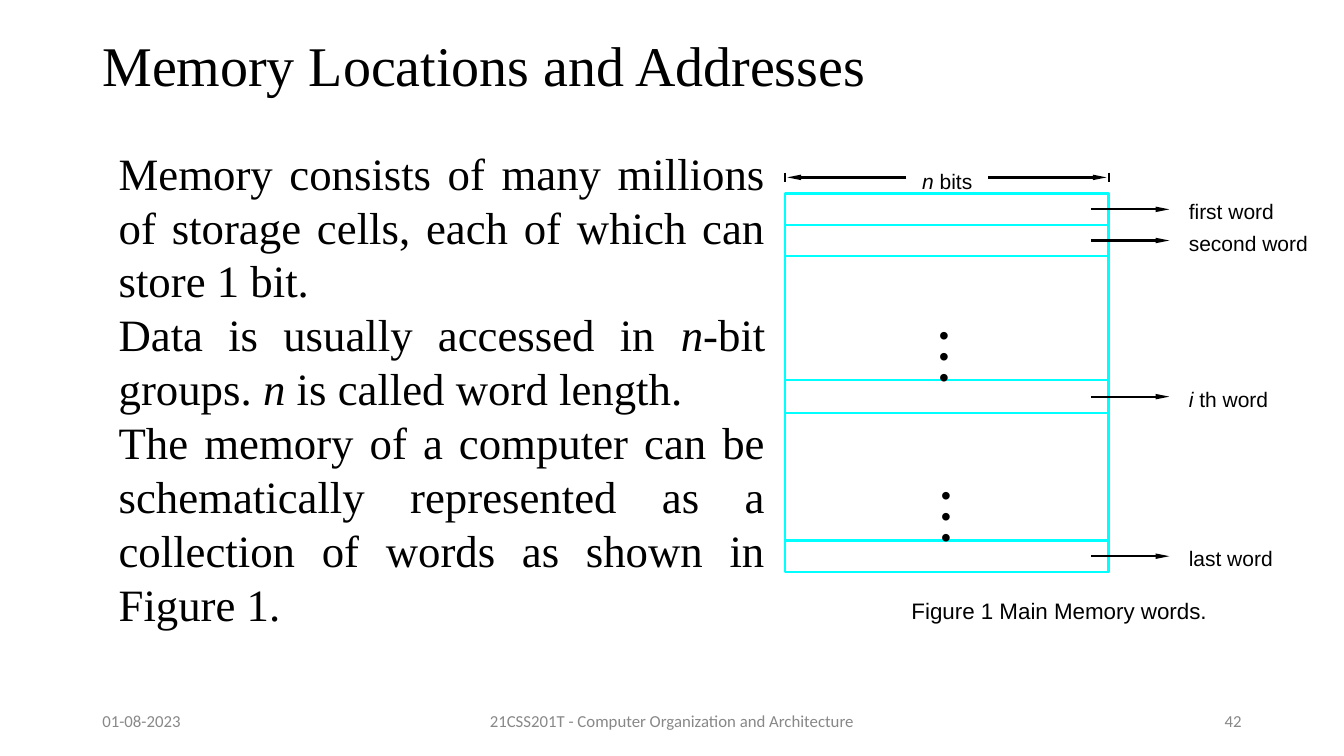
from lxml import etree
from pptx import Presentation
from pptx.dml.color import RGBColor
from pptx.enum.shapes import MSO_CONNECTOR, MSO_SHAPE
from pptx.enum.text import MSO_ANCHOR, PP_ALIGN
from pptx.oxml.ns import qn
from pptx.util import Cm, Pt

STRAIGHT = MSO_CONNECTOR.STRAIGHT
RECTANGLE = MSO_SHAPE.RECTANGLE
TOP, MIDDLE = MSO_ANCHOR.TOP, MSO_ANCHOR.MIDDLE
LEFT, CENTER, RIGHT, JUSTIFY = PP_ALIGN.LEFT, PP_ALIGN.CENTER, PP_ALIGN.RIGHT, PP_ALIGN.JUSTIFY

COLORS = {"text": "000000", "cell": "00FFFF", "footer": "888888"}
LINE_WIDTH = 1.62
PADDING = (0.25, 0.13, 0.25, 0.13)
NO_PADDING = (0, 0, 0, 0)

BODY = [
    "Memory consists of many millions of storage cells, each of which can store 1 bit.",
    "Data is usually accessed in *n*-bit groups. *n* is called word length.",
    "The memory of a computer can be schematically represented as a collection of words "
    "as shown in Figure 1.",
]
WORDS = [
    (0, 0.79, "first word"),
    (0.79, 1.57, "second word"),
    (4.7, 5.53, "*i* th word"),
    (8.74, 9.53, "last word"),
]


def add_text(slide, box, paragraphs, font="Arial", size=15, color="text", align=LEFT,
             anchor=TOP, padding=NO_PADDING, spacing=None):
    shape = slide.shapes.add_textbox(*map(Cm, box))
    frame = shape.text_frame
    frame.word_wrap = True
    frame.vertical_anchor = anchor
    (frame.margin_left, frame.margin_top,
     frame.margin_right, frame.margin_bottom) = map(Cm, padding)
    for index, text in enumerate(paragraphs):
        paragraph = frame.add_paragraph() if index else frame.paragraphs[0]
        paragraph.alignment = align
        if spacing:
            paragraph.line_spacing = spacing
        for position, part in enumerate(text.split("*")):
            if part:
                run = paragraph.add_run()
                run.text = part
                run.font.name = font
                run.font.size = Pt(size)
                run.font.italic = position % 2 == 1
                run.font.color.rgb = RGBColor.from_string(COLORS[color])


def add_line(slide, start, end, color="text", arrow=False):
    connector = slide.shapes.add_connector(STRAIGHT, *map(Cm, start + end))
    connector.line.color.rgb = RGBColor.from_string(COLORS[color])
    connector.line.width = Pt(LINE_WIDTH)
    properties = connector._element.spPr
    if arrow:
        outline = properties.find(qn("a:ln"))
        etree.SubElement(outline, qn("a:tailEnd"), type="triangle", w="sm", len="lg")
    etree.SubElement(properties, qn("a:effectLst"))


def add_heading(slide, box):
    add_text(slide, box, ["Memory Locations and Addresses"], font="Times New Roman",
             size=40, anchor=MIDDLE, padding=PADDING, spacing=0.9)


def add_body(slide, box):
    add_text(slide, box, BODY, font="Times New Roman", size=32, align=JUSTIFY,
             padding=PADDING, spacing=Pt(38.5))


def add_width_marker(slide, left, top, width):
    for edge in (left, left + width):
        add_line(slide, (edge, top - 0.12), (edge, top + 0.12))
    add_line(slide, (left + 3.05, top), (left + 0.05, top), arrow=True)
    add_line(slide, (left + 5.11, top), (left + width - 0.05, top), arrow=True)
    add_text(slide, (left + 3.45, top - 0.23, 1.5, 0.64), ["*n* bits"])


def add_memory_figure(slide, box):
    left, top, width, height = box
    memory = slide.shapes.add_shape(RECTANGLE, *map(Cm, box))
    memory.shadow.inherit = False
    memory.fill.background()
    memory.line.color.rgb = RGBColor.from_string(COLORS["cell"])
    memory.line.width = Pt(LINE_WIDTH)

    borders = {edge for start, end, label in WORDS for edge in (start, end)}
    for border in sorted(borders - {0, height}):
        add_line(slide, (left, top + border), (left + width, top + border), color="cell")

    for start, end, label in WORDS:
        middle = top + (start + end) / 2
        add_line(slide, (left + 7.7, middle), (left + 9.68, middle), arrow=True)
        add_text(slide, (left + 10.17, middle - 0.26, 3.3, 0.64), [label])

    for dots_left, dots_top in ((3.63, 2.36), (3.68, 6.38)):
        add_text(slide, (left + dots_left, top + dots_top, 0.74, 2.82), ["•"] * 3, size=20,
                 align=CENTER, padding=(0, 1.09, 0, 0), spacing=Pt(15))

    add_width_marker(slide, left, top - 0.41, width)
    add_text(slide, (left + 3.18, top + 10.16, 8.2, 0.69),
             ["Figure 1 Main Memory words."], size=16)


def add_footer(slide, box):
    left, top, width, height = box
    parts = [
        (0, 7.62, "01-08-2023", LEFT),
        ((width - 11.43) / 2, 11.43, "21CSS201T - Computer Organization and Architecture", CENTER),
        (width - 7.62, 7.62, "42", RIGHT),
    ]
    for offset, part_width, text, align in parts:
        add_text(slide, (left + offset, top, part_width, height), [text], font="Calibri",
                 size=12, color="footer", align=align, anchor=MIDDLE, padding=PADDING)


def main():
    presentation = Presentation()
    presentation.slide_width = Cm(33.87)
    presentation.slide_height = Cm(19.05)
    slide = presentation.slides.add_slide(presentation.slide_layouts[6])
    add_heading(slide, (2.33, 0.84, 29.21, 1.78))
    add_body(slide, (2.74, 3.53, 16.8, 12.57))
    add_memory_figure(slide, (19.79, 4.88, 8.15, 9.53))
    add_footer(slide, (2.33, 17.65, 29.21, 1.02))
    presentation.save("out.pptx")


if __name__ == "__main__":
    main()
